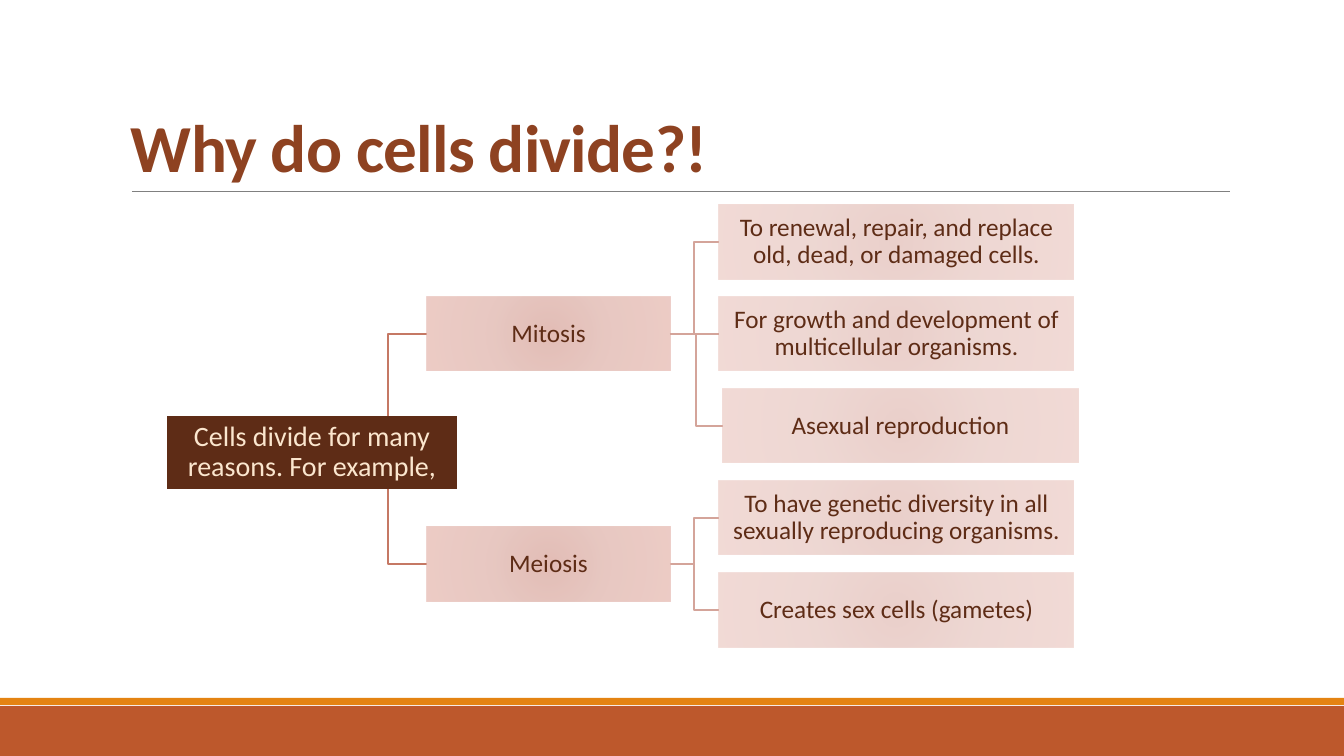
from lxml import etree
from pptx import Presentation
from pptx import util as u
from pptx.dml.color import RGBColor
from pptx.enum import shapes, text
from pptx.oxml import parse_xml
from pptx.oxml.ns import qn

PX = 9071
RUST = RGBColor(0xBD, 0x58, 0x2C)
AMBER = RGBColor(0xE4, 0x83, 0x12)
GREY = RGBColor(0x80, 0x80, 0x80)
SIENNA = RGBColor(0x8E, 0x42, 0x21)
BROWN = RGBColor(0x5E, 0x2C, 0x16)
CREAM = RGBColor(0xFB, 0xE6, 0xCE)
CLAY = RGBColor(0xC5, 0x78, 0x64)
ROSE = RGBColor(0xD4, 0xA4, 0x9A)
STOPS = [(0, "D7A197"), (45, "DEB1A8"), (100, "E6B7AE")]

deck = Presentation()
deck.slide_width, deck.slide_height = 1344 * PX, 756 * PX
slide = deck.slides.add_slide(deck.slide_layouts[6])
tree = slide.shapes


def add_box(left, top, width, height, fill, words="", size=18, ink=BROWN):
    box = tree.add_shape(shapes.MSO_SHAPE.RECTANGLE,
                         left * PX, top * PX, width * PX, height * PX)
    box.shadow.inherit = False
    box.line.fill.background()
    if isinstance(fill, RGBColor):
        box.fill.solid()
        box.fill.fore_color.rgb = fill
    else:
        stops = "".join(
            f'<a:gs pos="{pos * 1000}"><a:srgbClr val="{tint}">'
            f'<a:alpha val="{fill * 1000}"/></a:srgbClr></a:gs>'
            for pos, tint in STOPS)
        box._element.spPr.insert(2, parse_xml(
            '<a:gradFill xmlns:a="http://schemas.openxmlformats.org/drawingml/2006/main" '
            f'rotWithShape="1"><a:gsLst>{stops}</a:gsLst><a:path path="circle">'
            '<a:fillToRect l="100000" t="100000" r="100000" b="100000"/>'
            '</a:path></a:gradFill>'))
    if words:
        frame = box.text_frame
        frame.text = words
        frame.word_wrap = True
        frame.vertical_anchor = text.MSO_ANCHOR.MIDDLE
        frame.margin_left = frame.margin_right = PX
        frame.margin_top = frame.margin_bottom = PX
        para = frame.paragraphs[0]
        para.alignment = text.PP_ALIGN.CENTER
        para.line_spacing = 0.9
        font = para.runs[0].font
        font.name, font.size, font.color.rgb = "Calibri", u.Pt(size), ink
    return box


def add_line(x1, y1, x2, y2, ink, width):
    line = tree.add_connector(shapes.MSO_CONNECTOR.STRAIGHT,
                              x1 * PX, y1 * PX, x2 * PX, y2 * PX)
    line.line.color.rgb = ink
    line.line.width = u.Pt(width)
    etree.SubElement(line._element.spPr, qn("a:effectLst"))
    return line


add_box(0, 706, 1344, 50, RUST)
add_box(0, 698, 1344, 7, AMBER)
add_line(132, 191, 1230, 191, GREY, 0.5)

title = tree.add_textbox(121 * PX, 31 * PX, 1109 * PX, 160 * PX).text_frame
title.text = "Why do cells divide?!"
title.word_wrap = True
title.vertical_anchor = text.MSO_ANCHOR.BOTTOM
head = title.paragraphs[0]
head.line_spacing = 0.85
run = head.runs[0]
run.font.name, run.font.size, run.font.bold = "Calibri", u.Pt(48), True
run.font.color.rgb = SIENNA
run._r.get_or_add_rPr().set("spc", "-50")

FIRST, STEP, HIGH = 242, 92, 74
rows = [FIRST + STEP * i for i in range(5)]
mito, meio = rows[1], (rows[3] + rows[4]) // 2

links = [
    (349, 452, 388, 427, mito, CLAY),
    (349, 452, 388, 427, meio, CLAY),
    (670, mito, 694, 719, rows[0], ROSE),
    (670, mito, 696, 723, rows[2], ROSE),
    (670, meio, 694, 719, rows[3], ROSE),
    (670, meio, 694, 719, rows[4], ROSE),
]
for x1, y1, bend, x2, y2, ink in links:
    pen = tree.build_freeform(x1, y1, scale=PX)
    pen.add_line_segments([(bend, y1), (bend, y2), (x2, y2)], close=False)
    link = pen.convert_to_shape()
    link.shadow.inherit = False
    link.fill.background()
    link.line.color.rgb = ink
    link.line.width = u.Pt(1.25)

add_box(167, 416, 290, 73, BROWN,
        "Cells divide for many reasons. For example,", 20, CREAM)
kinds = [add_box(427, mid - HIGH // 2, 243, HIGH, 70, name)
         for name, mid in [("Mitosis", mito), ("Meiosis", meio)]]
reasons = [
    (719, "To renewal, repair, and replace old, dead, or damaged cells."),
    (719, "For growth and development of multicellular organisms."),
    (723, "Asexual reproduction"),
    (719, "To have genetic diversity in all sexually reproducing organisms."),
    (719, "Creates sex cells (gametes)"),
]
leaves = [add_box(left, mid - HIGH // 2, 355, HIGH, 50, words)
          for (left, words), mid in zip(reasons, rows)]

growth = add_line(670, mito, 719, mito, ROSE, 1.25)
growth.begin_connect(kinds[0], 3)
growth.end_connect(leaves[1], 1)

deck.save("out.pptx")
